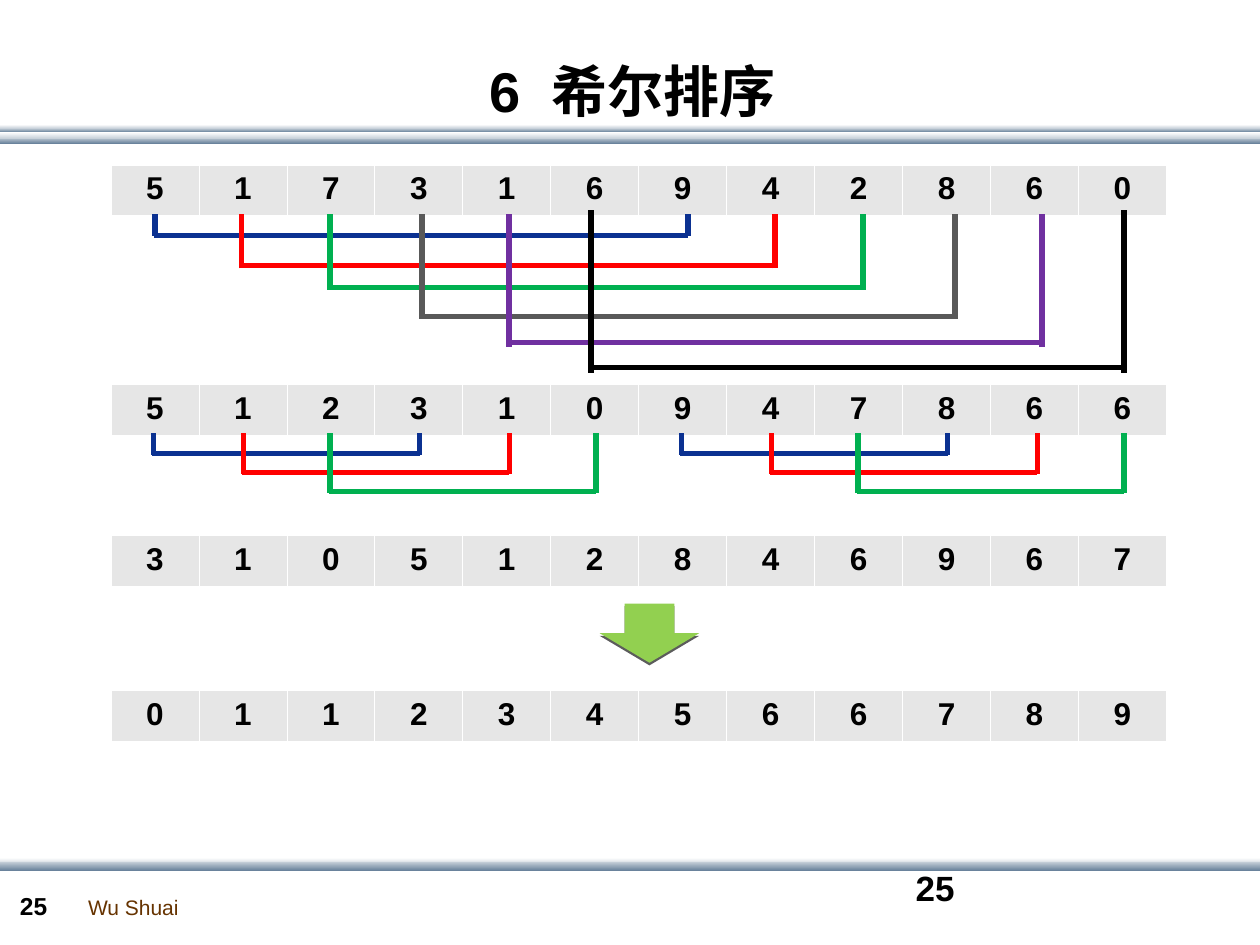
from dataclasses import dataclass

from lxml import etree
from pptx import Presentation
from pptx.dml.color import RGBColor
from pptx.enum import shapes, text
from pptx.oxml import ns
from pptx.util import Pt

HUES = {
    "white": "FFFFFF", "pale": "C8D1DA", "steel": "6A839C",
    "cell": "E6E6E6", "black": "000000", "brown": "663300",
    "blue": "0B3191", "red": "FF0000", "green": "00B050",
    "gray": "595959", "plum": "7030A0", "lime": "92D050",
}


@dataclass
class Band:
    top: float
    high: float
    start: str
    end: str


@dataclass
class Label:
    words: str
    left: float
    top: float
    wide: float
    high: float
    size: float
    hue: str = "black"
    bold: bool = True
    wrap: bool = True
    grow: bool = False
    mid: bool = False


@dataclass
class Row:
    top: float
    digits: str


@dataclass
class Link:
    left: float
    span: float
    top: float
    base: float
    foot: float
    hue: str


BANDS = [
    Band(78.5, 3.6, "pale", "steel"),
    Band(73.4, 2.2, "pale", "steel"),
    Band(75.6, 3.6, "white", "pale"),
    Band(71.3, 2.2, "white", "pale"),
    Band(490.3, 3.6, "white", "pale"),
    Band(492.5, 5, "pale", "steel"),
]
LABELS = [
    Label("Wu Shuai", 43.2, 507.6, 66.2, 21.6, 12, "brown", False, False, True),
    Label("25", 4.3, 505.4, 39.6, 24.5, 14, grow=True),
    Label("25", 516.2, 491.8, 167.8, 36, 20),
    Label("6  希尔排序", 15.8, 31.7, 691.2, 39.6, 32, mid=True),
]
ROWS = [
    Row(94.3, "517316942860"),
    Row(219.6, "512310947866"),
    Row(306, "310512846967"),
    Row(394.6, "011234566789"),
]
WIDE = [
    Link(88.6, 304.6, 122.4, 134.6, 134.6, "blue"),
    Link(138.2, 304.6, 122.4, 151.9, 153.4, "red"),
    Link(188.6, 304.6, 122.4, 164.2, 165.6, "green"),
    Link(241.2, 304.6, 122.4, 180.7, 182.2, "gray"),
    Link(290.9, 304.6, 122.4, 195.8, 198, "plum"),
    Link(337.7, 304.6, 120.2, 210.2, 213.1, "black"),
]
NARROW = [
    Link(left + half * 301.7, 152, 247.7, 259.2 + step * 10.8,
         259.9 + step * 10.8, hue)
    for half in range(2)
    for step, (left, hue) in enumerate(
        [(87.8, "blue"), (139, "red"), (188.6, "green")])
]


def tint(name: str) -> RGBColor:
    return RGBColor.from_string(HUES[name])


def node(root, tag: str, **attrs: str):
    return etree.SubElement(root, ns.qn(tag), **attrs)


def style(para, size: float, hue: str, bold: bool) -> None:
    font = para.font
    font.name, font.size, font.bold = "Arial", Pt(size), bold
    font.color.rgb = tint(hue)


def draw_band(slide, band: Band) -> None:
    bar = slide.shapes.add_shape(
        shapes.MSO_SHAPE.RECTANGLE, 0, Pt(band.top), Pt(720.7), Pt(band.high))
    bar.shadow.inherit = False
    bar.line.fill.background()
    bar.fill.gradient()
    bar.fill.gradient_angle = 270
    for stop, hue in zip(bar.fill.gradient_stops, (band.start, band.end)):
        stop.color.rgb = tint(hue)


def draw_label(slide, label: Label) -> None:
    box = slide.shapes.add_textbox(
        Pt(label.left), Pt(label.top), Pt(label.wide), Pt(label.high))
    frame = box.text_frame
    frame.word_wrap = label.wrap
    if label.grow:
        frame.auto_size = text.MSO_AUTO_SIZE.SHAPE_TO_FIT_TEXT
    para = frame.paragraphs[0]
    para.text = label.words
    style(para, label.size, label.hue, label.bold)
    if label.mid:
        frame.vertical_anchor = text.MSO_ANCHOR.MIDDLE
        para.alignment = text.PP_ALIGN.CENTER


def edge_cell(cell) -> None:
    props = cell._tc.get_or_add_tcPr()
    for side, width in (("L", 0.45), ("R", 0.45), ("T", 0.45), ("B", 1.47)):
        line = node(props, f"a:ln{side}", w=str(Pt(width)))
        node(node(line, "a:solidFill"), "a:srgbClr", val=HUES["white"])


def draw_row(slide, row: Row) -> None:
    count = len(row.digits)
    table = slide.shapes.add_table(
        1, count, Pt(63.4), Pt(row.top), Pt(603.36), Pt(29.5)).table
    table.first_row = table.horz_banding = False
    for col, digit in enumerate(row.digits):
        table.columns[col].width = Pt(603.36 / count)
        cell = table.cell(0, col)
        edge_cell(cell)
        cell.fill.solid()
        cell.fill.fore_color.rgb = tint("cell")
        para = cell.text_frame.paragraphs[0]
        para.text = digit
        para.alignment = text.PP_ALIGN.CENTER
        style(para, 18, "black", True)


def draw_link(slide, link: Link) -> None:
    group = slide.shapes.add_group_shape()
    right = link.left + link.span
    for ends in (
        (link.left - 0.7, link.base, right, link.base),
        (link.left, link.foot, link.left, link.top),
        (right, link.foot, right, link.top),
    ):
        line = group.shapes.add_connector(
            shapes.MSO_CONNECTOR.STRAIGHT, *map(Pt, ends))
        line.line.color.rgb = tint(link.hue)
        line.line.width = Pt(3)
        node(line._element.spPr, "a:effectLst")


def draw_arrow(slide) -> None:
    arrow = slide.shapes.add_shape(
        shapes.MSO_SHAPE.RIGHT_ARROW, Pt(354.2), Pt(333.4), Pt(33.8), Pt(56.9))
    arrow.rotation = 90
    arrow.fill.solid()
    arrow.fill.fore_color.rgb = tint("lime")
    arrow.line.fill.background()
    arrow.shadow.inherit = False
    effects = arrow._element.spPr.find(ns.qn("a:effectLst"))
    shade = node(effects, "a:outerShdw", blurRad="0", dist=str(Pt(1.5)),
                 dir="5400000", rotWithShape="0")
    node(node(shade, "a:srgbClr", val=HUES["black"]), "a:alpha", val="63000")


def main() -> None:
    deck = Presentation()
    deck.slide_width, deck.slide_height = Pt(720), Pt(540)
    slide = deck.slides.add_slide(deck.slide_layouts[6])
    for draw, items in (
        (draw_band, BANDS),
        (draw_label, LABELS),
        (draw_row, ROWS),
        (draw_link, WIDE + NARROW),
    ):
        for item in items:
            draw(slide, item)
    draw_arrow(slide)
    deck.save("out.pptx")


if __name__ == "__main__":
    main()
